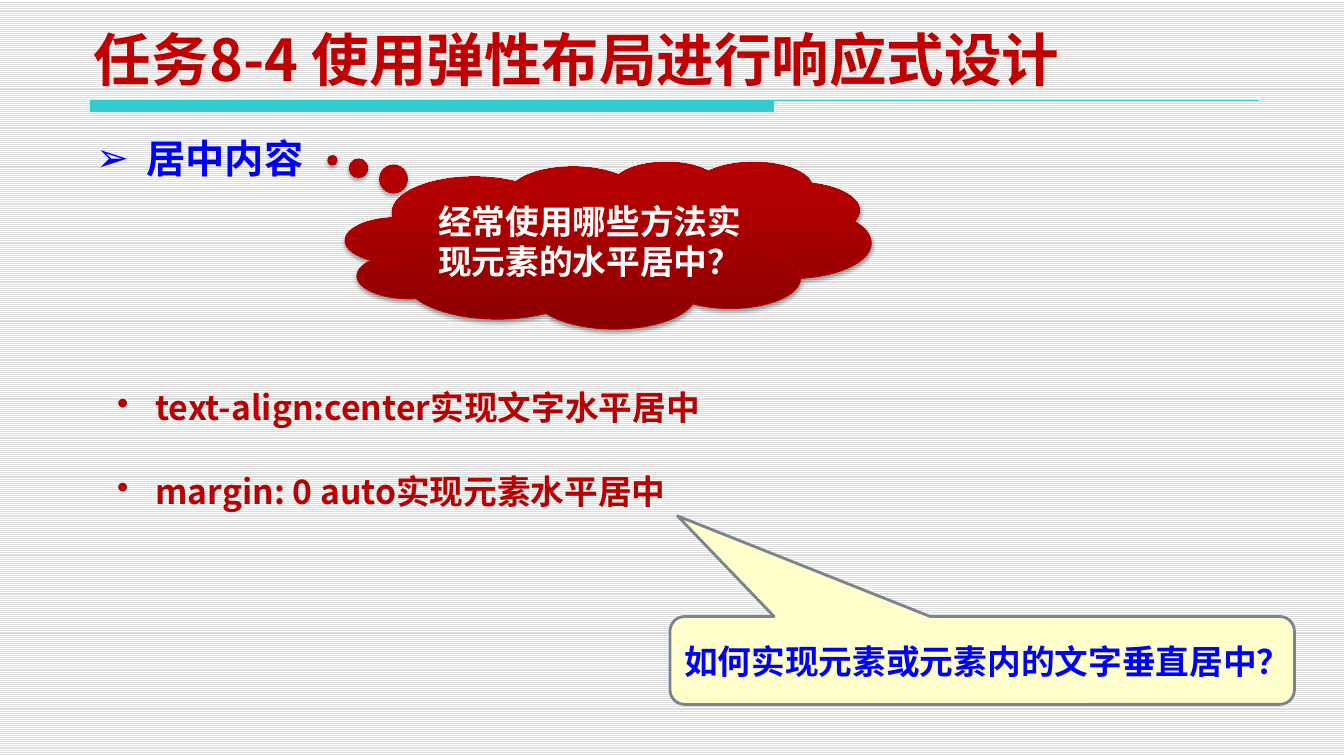
"""Build the slide on centring content with flexible layout."""
from lxml.etree import SubElement
from pptx import Presentation
from pptx.dml.color import RGBColor
from pptx.enum.dml import MSO_PATTERN
from pptx.enum.shapes import MSO_CONNECTOR, MSO_SHAPE
from pptx.enum.text import MSO_ANCHOR, MSO_AUTO_SIZE, PP_ALIGN
from pptx.oxml import parse_xml
from pptx.oxml.ns import nsdecls, qn
from pptx.util import Inches, Pt

HUES = {
    "title": "C00000", "teal": "33CCCC", "blue": "0000FF", "red": "B90000",
    "white": "FFFFFF", "stripe": "DDDDDD", "cream": "FFFFCC",
    "gray": "79848F", "edge": "B50000", "dark": "8A0000",
    "mid": "B30000", "top": "B40000", "black": "000000",
}
CJK = "Noto Sans CJK SC"
SANS = "DejaVu Sans"


def hue(name):
    return RGBColor.from_string(HUES[name])


def box(*sides):
    return [Inches(side) for side in sides]


def place(shape, sides):
    for name, size in zip(("left", "top", "width", "height"), box(*sides)):
        setattr(shape, name, size)


def write(shape, text, size, color, face=CJK, inset=0.1, anchor=MSO_ANCHOR.TOP, **style):
    frame = shape.text_frame
    look = {
        "word_wrap": True, "auto_size": MSO_AUTO_SIZE.NONE, "vertical_anchor": anchor,
        "margin_left": Inches(inset), "margin_right": Inches(inset),
        "margin_top": Inches(0.05), "margin_bottom": Inches(0.05),
    }
    for name, value in look.items():
        setattr(frame, name, value)
    para = frame.paragraphs[0]
    for name, value in {"alignment": PP_ALIGN.LEFT, **style}.items():
        setattr(para, name, value)
    run = para.add_run()
    run.text = text
    for name, value in {"name": face, "size": Pt(size), "bold": True}.items():
        setattr(run.font, name, value)
    run.font.color.rgb = hue(color)
    SubElement(run._r.get_or_add_rPr(), qn("a:ea"), typeface=CJK)
    return para


def bullet(para, mark, indent):
    props = para._p.get_or_add_pPr()
    props.set("marL", str(Inches(indent)))
    props.set("indent", str(-Inches(indent)))
    SubElement(props, qn("a:buChar"), char=mark)


def shade(shape):
    stops = "".join(
        f'<a:gs pos="{spot}000"><a:srgbClr val="{HUES[name]}"/></a:gs>'
        for spot, name in ((0, "dark"), (80, "mid"), (100, "top")))
    fill = parse_xml(f'<a:gradFill {nsdecls("a")} rotWithShape="1"><a:gsLst>{stops}</a:gsLst>'
                     '<a:lin ang="16200000" scaled="0"/></a:gradFill>')
    shape._element.spPr.find(qn("a:prstGeom")).addnext(fill)


def shadow(shape):
    shape.shadow.inherit = False
    glow = shape._element.spPr.find(qn("a:effectLst"))
    cast = SubElement(glow, qn("a:outerShdw"), blurRad=str(Pt(3.1)), dist=str(Pt(1.8)),
                      dir="5400000", algn="ctr", rotWithShape="0")
    tint = SubElement(cast, qn("a:srgbClr"), val=HUES["black"])
    SubElement(tint, qn("a:alpha"), val="35000")


def callout(shapes, kind, sides, bends, edge, width):
    shape = shapes.add_shape(kind, *box(*sides))
    for spot, bend in enumerate(bends):
        shape.adjustments[spot] = bend
    shape.line.color.rgb = hue(edge)
    shape.line.width = Pt(width)
    shape.shadow.inherit = False
    return shape


def rule(shapes):
    bar = shapes.add_shape(MSO_SHAPE.RECTANGLE, *box(0.89, 0.99, 6.77, 0.12))
    bar.fill.solid()
    bar.fill.fore_color.rgb = hue("teal")
    bar.line.fill.background()
    bar.shadow.inherit = False
    line = shapes.add_connector(MSO_CONNECTOR.STRAIGHT, *box(0.89, 0.99, 12.46, 0.99))
    line.line.color.rgb = hue("teal")
    line.line.width = Pt(0.75)
    SubElement(line._element.spPr, qn("a:effectLst"))


def paint(slide):
    fill = slide.background.fill
    fill.patterned()
    fill.pattern = MSO_PATTERN.LIGHT_HORIZONTAL
    fill.fore_color.rgb = hue("stripe")
    fill.back_color.rgb = hue("white")


def main():
    deck = Presentation()
    deck.slide_width, deck.slide_height = box(13.3, 7.48)
    slide = deck.slides.add_slide(deck.slide_layouts[1])
    shapes = slide.shapes
    paint(slide)
    rule(shapes)

    title, body = slide.placeholders
    place(title, (0.82, 0.28, 11.22, 0.69))
    write(title, "任务8-4 使用弹性布局进行响应式设计", 41, "title",
          inset=0.11, anchor=MSO_ANCHOR.BOTTOM)
    place(body, (0.84, 1.28, 4.08, 2.75))
    topic = write(body, "居中内容", 28, "blue", inset=0.11, space_before=Pt(18))
    bullet(topic, "➢", 0.5)

    cloud = callout(shapes, MSO_SHAPE.CLOUD_CALLOUT, (3.42, 1.6, 5.2, 1.65),
                    (-0.525, -0.509), "edge", 0.75)
    shade(cloud)
    shadow(cloud)
    write(cloud, "经常使用哪些方法实现元素的水平居中？", 24, "white", SANS,
          anchor=MSO_ANCHOR.MIDDLE, alignment=PP_ALIGN.CENTER)

    for text, top, width in (("text-align:center实现文字水平居中", 3.78, 6.18),
                             ("margin: 0 auto实现元素水平居中", 4.61, 5.67)):
        note = shapes.add_textbox(*box(1.06, top, width, 0.5))
        bullet(write(note, text, 24, "red"), "•", 0.38)

    ask = callout(shapes, MSO_SHAPE.ROUNDED_RECTANGULAR_CALLOUT, (6.63, 6.1, 6.18, 0.87),
                  (-0.488, -1.644, 0.167), "gray", 2)
    ask.fill.solid()
    ask.fill.fore_color.rgb = hue("cream")
    write(ask, "如何实现元素或元素内的文字垂直居中？", 24, "blue", SANS,
          anchor=MSO_ANCHOR.MIDDLE, line_spacing=Pt(30))
    deck.save("out.pptx")


if __name__ == "__main__":
    main()
